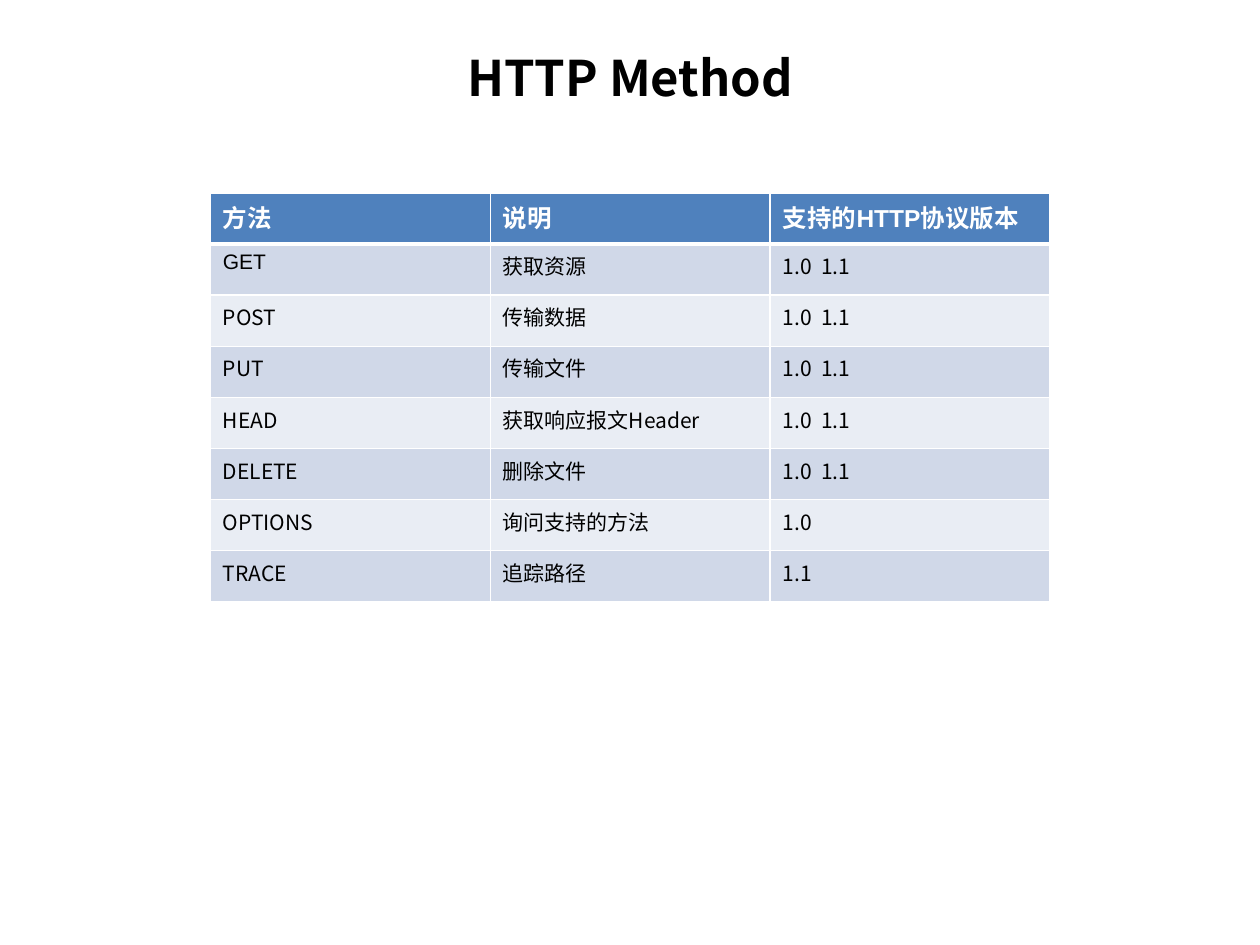
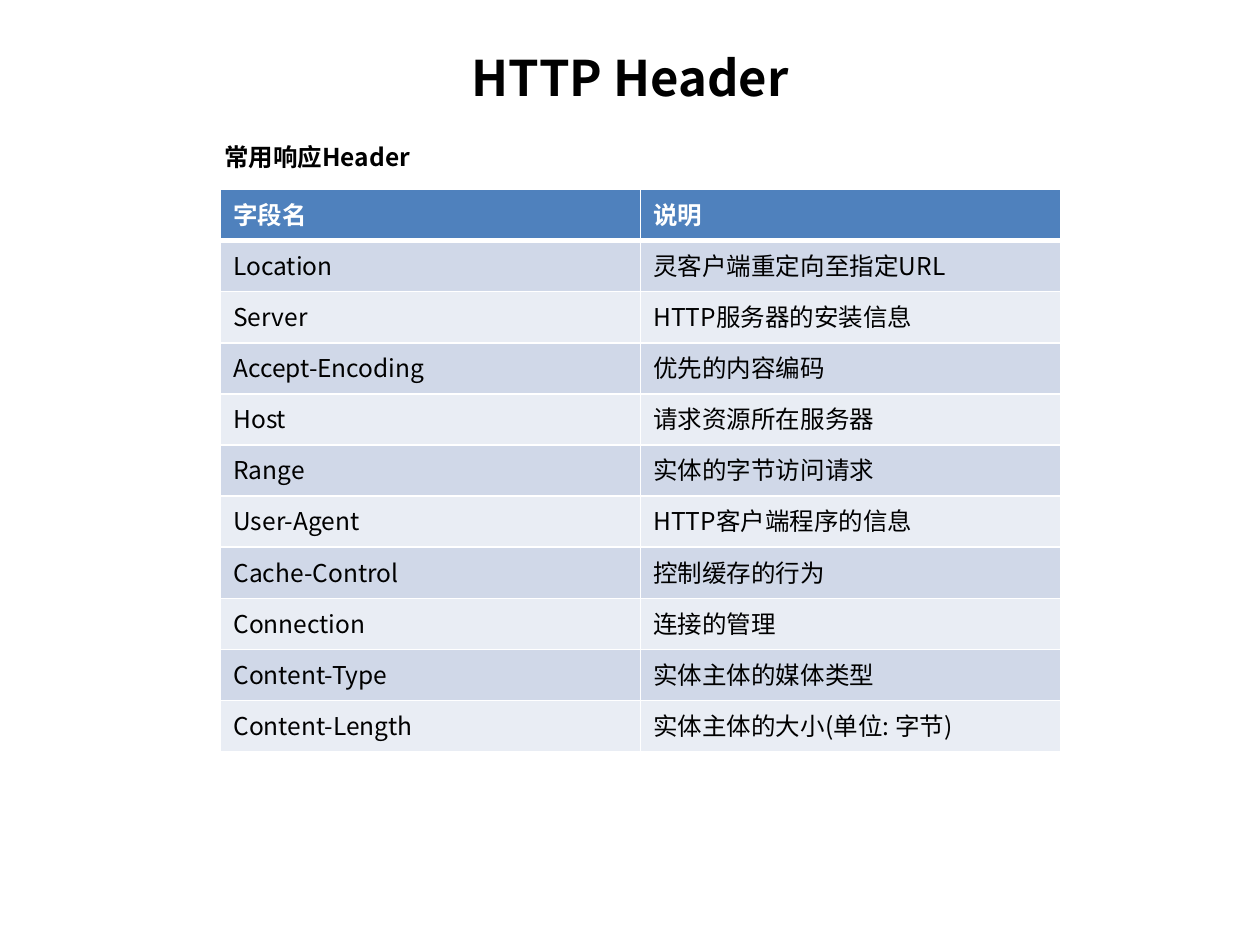
import pptx
import pptx.dml.color
import pptx.enum.text
import pptx.oxml
import pptx.oxml.ns
import pptx.util
from pptx.util import Cm

# Shared look
SANS = "Noto Sans CJK SC"
ARIAL = "Arial"
BLACK, WHITE = "000000", "FFFFFF"
HEADER_FILL = "4F81BD"
BAND_FILLS = ("D0D8E8", "E9EDF4")
TABLE_WIDTH, ROW_HEIGHT = 16.93, 1.03

# Table content
METHODS = [
    ("方法", "说明", "支持的HTTP协议版本"),
    ("GET", "获取资源", "1.0  1.1"),
    ("POST", "传输数据", "1.0  1.1"),
    ("PUT", "传输文件", "1.0  1.1"),
    ("HEAD", "获取响应报文Header", "1.0  1.1"),
    ("DELETE", "删除文件", "1.0  1.1"),
    ("OPTIONS", "询问支持的方法", "1.0"),
    ("TRACE", "追踪路径", "1.1"),
]
RESPONSE_HEADERS = [
    ("字段名", "说明"),
    ("Location", "灵客户端重定向至指定URL"),
    ("Server", "HTTP服务器的安装信息"),
    ("Accept-Encoding", "优先的内容编码"),
    ("Host", "请求资源所在服务器"),
    ("Range", "实体的字节访问请求"),
    ("User-Agent", "HTTP客户端程序的信息"),
    ("Cache-Control", "控制缓存的行为"),
    ("Connection", "连接的管理"),
    ("Content-Type", "实体主体的媒体类型"),
    ("Content-Length", "实体主体的大小(单位: 字节)"),
]


def color(hex_value):
    return pptx.dml.color.RGBColor.from_string(hex_value)


def write(frame, text, size, ink=BLACK, bold=False, latin=SANS):
    """Fill a text frame with one paragraph and return the paragraph."""
    paragraph = frame.paragraphs[0]
    paragraph.text = text
    font = paragraph.font
    font.size, font.bold, font.name = pptx.util.Pt(size), bold, latin
    font.color.rgb = color(ink)
    # Chinese characters always use the sans face
    east_asian = pptx.oxml.parse_xml(
        f'<a:ea {pptx.oxml.ns.nsdecls("a")} typeface="{SANS}"/>')
    paragraph.font._element.append(east_asian)
    return paragraph


def add_text(slide, left, top, width, height, text, size):
    box = slide.shapes.add_textbox(Cm(left), Cm(top), Cm(width), Cm(height))
    box.text_frame.word_wrap = True
    return box.text_frame, write(box.text_frame, text, size, bold=True)


def add_title(slide, text):
    frame, paragraph = add_text(slide, 1.27, 0.76, 22.86, 1.57, text, 28)
    frame.vertical_anchor = pptx.enum.text.MSO_ANCHOR.MIDDLE
    paragraph.alignment = pptx.enum.text.PP_ALIGN.CENTER


def add_caption(slide, text):
    frame, _ = add_text(slide, 2.97, 2.74, 5.72, 0.86, text, 14)
    frame.margin_left, frame.margin_right = Cm(1.55), 0


def set_borders(cell, top, bottom):
    """Draw white cell borders; widths in points."""
    properties = cell._tc.get_or_add_tcPr()
    widths = {"L": 1, "R": 1, "T": top, "B": bottom}
    for position, (side, width) in enumerate(widths.items()):
        properties.insert(position, pptx.oxml.parse_xml(
            f'<a:ln{side} {pptx.oxml.ns.nsdecls("a")} w="{pptx.util.Pt(width)}">'
            f'<a:solidFill><a:srgbClr val="{WHITE}"/></a:solidFill>'
            f'</a:ln{side}>'))


def add_banded_table(slide, left, top, rows, body_size, header_font=SANS,
                     arial_cells=()):
    column_count = len(rows[0])
    table = slide.shapes.add_table(
        len(rows), column_count, Cm(left), Cm(top),
        Cm(TABLE_WIDTH), Cm(ROW_HEIGHT * len(rows))).table
    for column in table.columns:
        column.width = Cm(TABLE_WIDTH / column_count)
    for r, row in enumerate(rows):
        table.rows[r].height = Cm(ROW_HEIGHT)
        for c, text in enumerate(row):
            cell = table.cell(r, c)
            cell.fill.solid()
            if r == 0:
                fill = HEADER_FILL
                write(cell.text_frame, text, 14, WHITE, True, header_font)
            else:
                fill = BAND_FILLS[(r - 1) % 2]
                latin = ARIAL if text in arial_cells else SANS
                write(cell.text_frame, text, body_size, latin=latin)
            cell.fill.fore_color.rgb = color(fill)
            set_borders(cell, top=3 if r == 1 else 1, bottom=3 if r == 0 else 1)


def main():
    deck = pptx.Presentation()
    deck.slide_width, deck.slide_height = Cm(25.4), Cm(19.05)
    blank = deck.slide_layouts[6]

    # HTTP methods
    methods = deck.slides.add_slide(blank)
    add_title(methods, "HTTP Method")
    add_banded_table(methods, 4.24, 3.89, METHODS, 12, header_font=ARIAL,
                     arial_cells=("GET", "获取资源"))

    # Common response headers
    headers = deck.slides.add_slide(blank)
    add_title(headers, "HTTP Header")
    add_caption(headers, "常用响应Header")
    add_banded_table(headers, 4.45, 3.82, RESPONSE_HEADERS, 14)

    deck.save("out.pptx")


if __name__ == "__main__":
    main()
